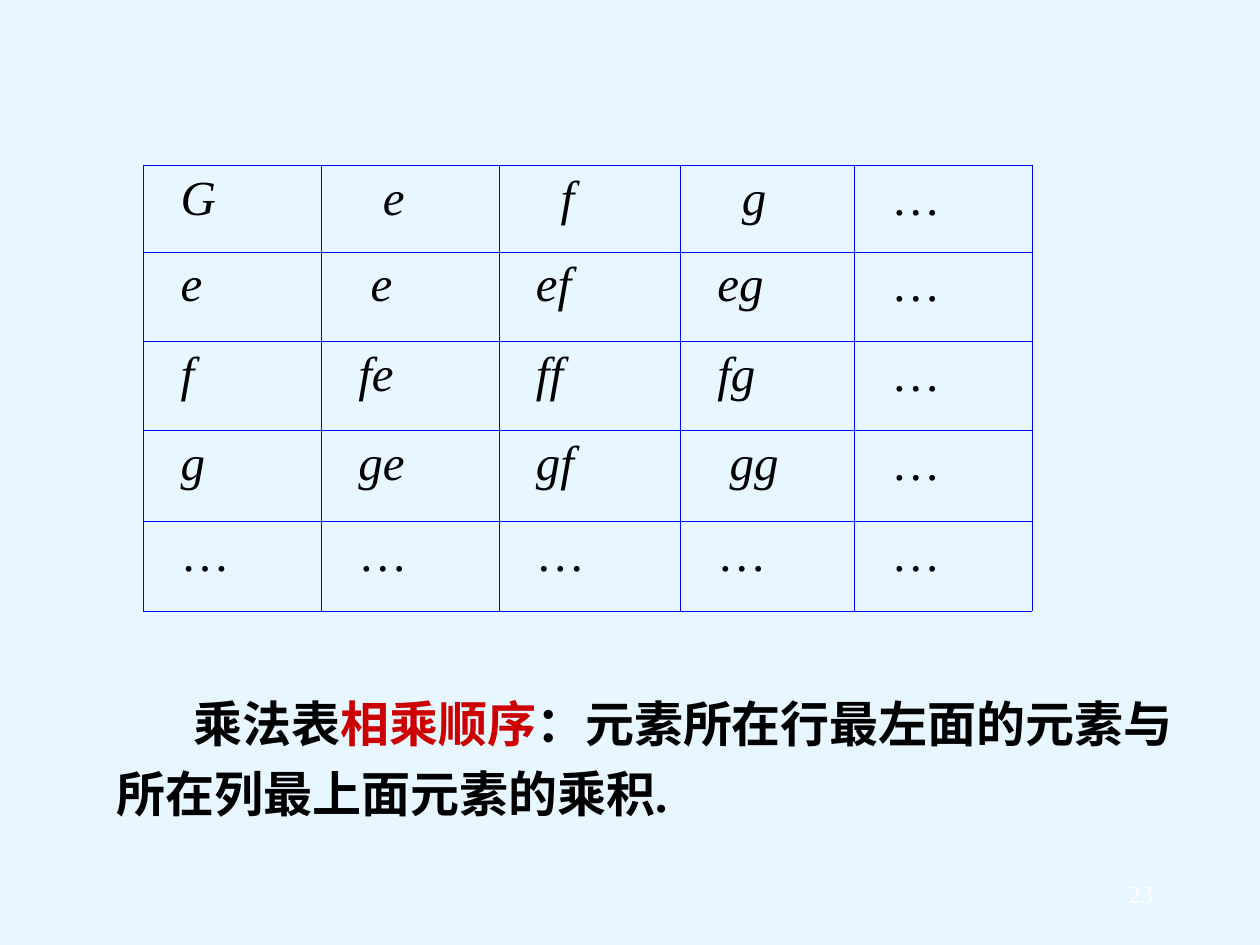
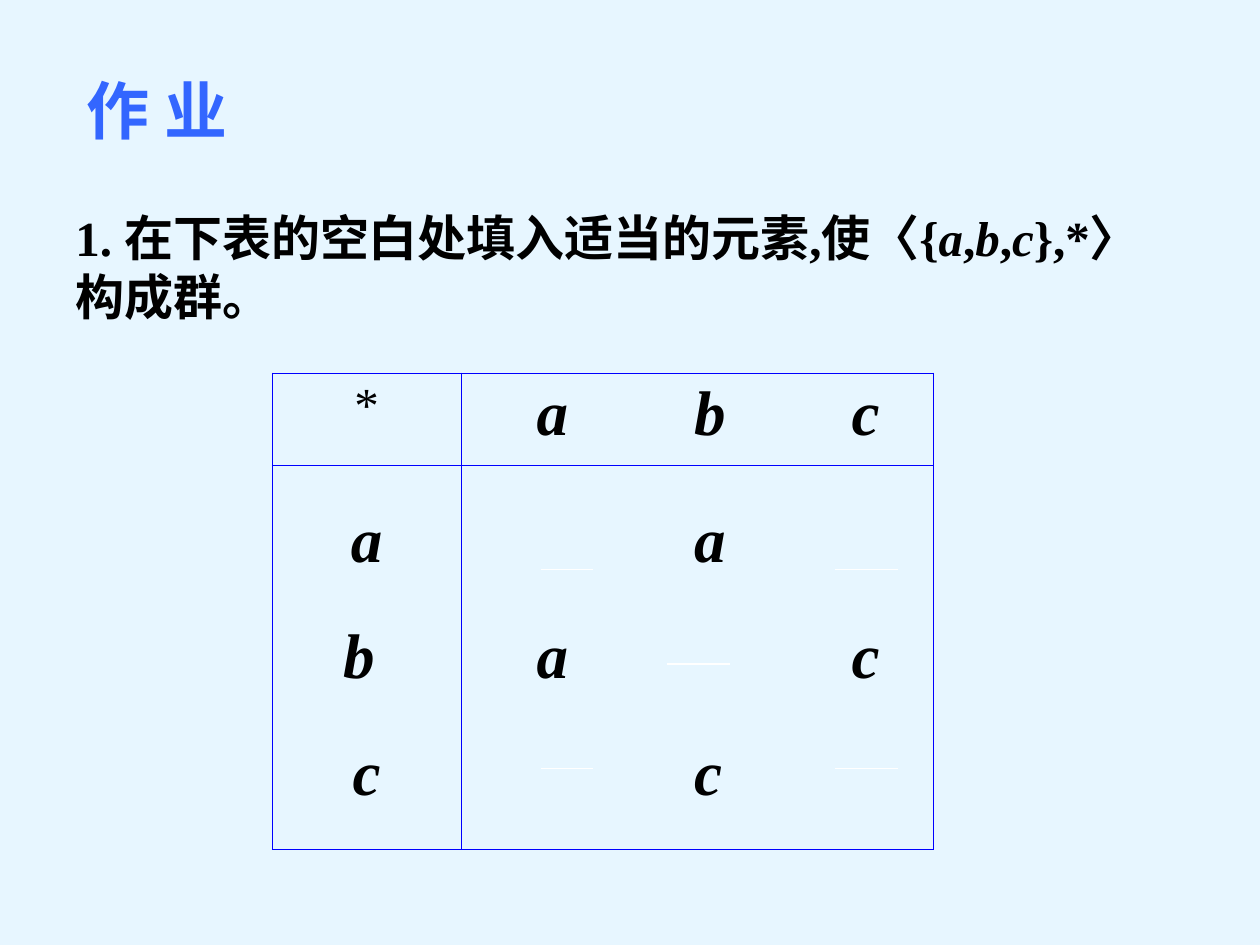
from dataclasses import dataclass
from typing import Any, NamedTuple

import pptx
import pptx.dml.color
import pptx.enum.shapes
import pptx.enum.text
import pptx.oxml
import pptx.oxml.ns
import pptx.util
from pptx.util import Inches, Pt


@dataclass(frozen=True)
class Theme:
    back: str = "E7F6FF"
    ink: str = "000000"
    red: str = "CC0000"
    blue: str = "3366FF"
    grid: str = "0000FF"
    white: str = "FFFFFF"
    font: str = "Times New Roman"
    head: int = 36
    body: int = 28
    foot: int = 14
    rule: float = 0.45
    thin: float = 0.75


THEME = Theme()
ALIGN = pptx.enum.text.PP_ALIGN


class Part(NamedTuple):
    """A stretch of text, with its own colour or slant if any."""
    text: str
    color: str = ""
    slant: bool = False


class Style(NamedTuple):
    size: int = THEME.body
    color: str = THEME.ink
    bold: bool = False
    slant: bool = False
    align: Any = ALIGN.LEFT
    space: float = 1.0
    first: float = 0.0
    tabs: tuple[float, ...] = ()


class Box(NamedTuple):
    left: float
    top: float
    width: float
    height: float


class Blank(NamedTuple):
    left: float
    top: float
    width: float


def rgb(code: str) -> Any:
    return pptx.dml.color.RGBColor.from_string(code)


def add_xml(parent: Any, text: str, at: int | None = None) -> None:
    """Put an a: element into parent, last unless a place is given."""
    node = pptx.oxml.parse_xml(text.replace(">", f" {pptx.oxml.ns.nsdecls('a')}>", 1))
    parent.insert(len(parent) if at is None else at, node)


def set_para(para: Any, parts: list[Part], style: Style) -> None:
    props = para._p.get_or_add_pPr()
    if style.first:
        props.set("indent", str(Inches(style.first)))
    if style.tabs:
        stops = "".join(f'<a:tab pos="{Inches(t)}" algn="l"/>' for t in style.tabs)
        add_xml(props, f"<a:tabLst>{stops}</a:tabLst>")
    para.alignment = style.align
    if style.space != 1:
        para.line_spacing = style.space
    font = para.font
    font.name, font.size = THEME.font, Pt(style.size)
    font.bold, font.italic = style.bold, style.slant
    font.color.rgb = rgb(style.color)
    for part in parts:
        run = para.add_run()
        run.text = part.text
        if part.color:
            run.font.color.rgb = rgb(part.color)
        if part.slant:
            run.font.italic = True


def add_text(slide: Any, box: Box, parts: list[Part], style: Style) -> None:
    frame = slide.shapes.add_textbox(*map(Inches, box)).text_frame
    frame.word_wrap = True
    set_para(frame.paragraphs[0], parts, style)


def add_grid(slide: Any, left: float, top: float,
             cols: list[float], rows: list[float]) -> Any:
    """Add an unfilled table with thin lines round every cell."""
    table = slide.shapes.add_table(len(rows), len(cols), Inches(left), Inches(top),
                                   Inches(sum(cols)), Inches(sum(rows))).table
    table.first_row = table.horz_banding = False
    for col, width in zip(table.columns, cols):
        col.width = Inches(width)
    for row, height in zip(table.rows, rows):
        row.height = Inches(height)
    for cell in table.iter_cells():
        cell.fill.background()
        props = cell._tc.get_or_add_tcPr()
        for place, side in enumerate("LRTB"):
            add_xml(props, f'<a:ln{side} w="{Pt(THEME.rule)}"><a:solidFill>'
                           f'<a:srgbClr val="{THEME.grid}"/></a:solidFill></a:ln{side}>', place)
    return table


def add_blank(slide: Any, blank: Blank) -> None:
    kind = pptx.enum.shapes.MSO_CONNECTOR.STRAIGHT
    line = slide.shapes.add_connector(
        kind, Inches(blank.left), Inches(blank.top),
        Inches(blank.left + blank.width), Inches(blank.top))
    line.line.color.rgb = rgb(THEME.white)
    line.line.width = Pt(THEME.thin)
    add_xml(line._element.spPr, "<a:effectLst></a:effectLst>")


def new_slide(deck: Any) -> Any:
    slide = deck.slides.add_slide(deck.slide_layouts[6])
    fill = slide.background.fill
    fill.solid()
    fill.fore_color.rgb = rgb(THEME.back)
    return slide


def order_slide(deck: Any) -> None:
    slide = new_slide(deck)

    # Product table; a few entries sit further in than the rest
    words = ["G e f g …", "e e ef eg …", "f fe ff fg …", "g ge gf gg …", "… … … … …"]
    steps = {(0, 1): 4, (0, 2): 4, (0, 3): 4, (1, 1): 3, (3, 3): 3}
    table = add_grid(slide, 1.14, 1.31, [1.41, 1.41, 1.44, 1.38, 1.41],
                     [0.69, 0.71, 0.71, 0.72, 0.71])
    for y, row in enumerate(words):
        for x, word in enumerate(row.split()):
            cell = table.cell(y, x)
            cell.margin_left = Inches(0.1) + Pt(7 * steps.get((y, x), 2))
            set_para(cell.text_frame.paragraphs[0], [Part(word)],
                     Style(slant=word != "…"))

    # Rule for the order of factors
    add_text(slide, Box(0.83, 5.36, 8.58, 1.22),
             [Part("乘法表"), Part("相乘顺序", THEME.red),
              Part("：元素所在行最左面的元素与所在列最上面元素的乘积.")],
             Style(bold=True, space=1.2, first=0.61))

    # Page number
    add_text(slide, Box(8.25, 6.93, 1, 0.34), [Part("23")],
             Style(THEME.foot, THEME.white, align=ALIGN.RIGHT))


def task_slide(deck: Any) -> None:
    slide = new_slide(deck)

    # Table to fill in
    table = add_grid(slide, 2.16, 2.96, [1.5, 3.75], [0.73, 3.05])
    bold = Style(THEME.head, bold=True, slant=True)
    tabbed = bold._replace(tabs=(0.5, 1.75, 3.0))
    side = bold._replace(align=ALIGN.CENTER, space=1.5)
    cells = [
        (0, 0, ["*"], Style(align=ALIGN.CENTER)),
        (0, 1, ["\ta\tb\tc"], tabbed),
        (1, 0, ["a", "b ", "c"], side),
        (1, 1, ["\t\ta", "\ta\t\tc", "\t\tc"], tabbed._replace(space=1.5)),
    ]
    for y, x, lines, style in cells:
        frame = table.cell(y, x).text_frame
        for at, line in enumerate(lines):
            para = frame.add_paragraph() if at else frame.paragraphs[0]
            set_para(para, [Part(line)], style)
            if at:
                para.space_before = Pt(7)

    # Blanks for the answers
    for top in (4.52, 6.1):
        add_blank(slide, Blank(4.29, top, 0.42))
        add_blank(slide, Blank(6.63, top, 0.5))
    add_blank(slide, Blank(5.29, 5.27, 0.5))

    # Task and heading
    add_text(slide, Box(0.5, 1.6, 8.75, 1.04),
             [Part("1. 在下表的空白处填入适当的元素,使〈{"), Part("a", slant=True),
              Part(","), Part("b", slant=True), Part(","), Part("c", slant=True),
              Part("},*〉构成群。")], Style(bold=True))
    add_text(slide, Box(0.59, 0.52, 1.5, 0.7), [Part("作 业")],
             Style(THEME.head, THEME.blue, bold=True))


def main() -> None:
    deck = pptx.Presentation()
    deck.slide_width, deck.slide_height = Inches(10), Inches(7.5)
    order_slide(deck)
    task_slide(deck)
    deck.save("out.pptx")


if __name__ == "__main__":
    main()
